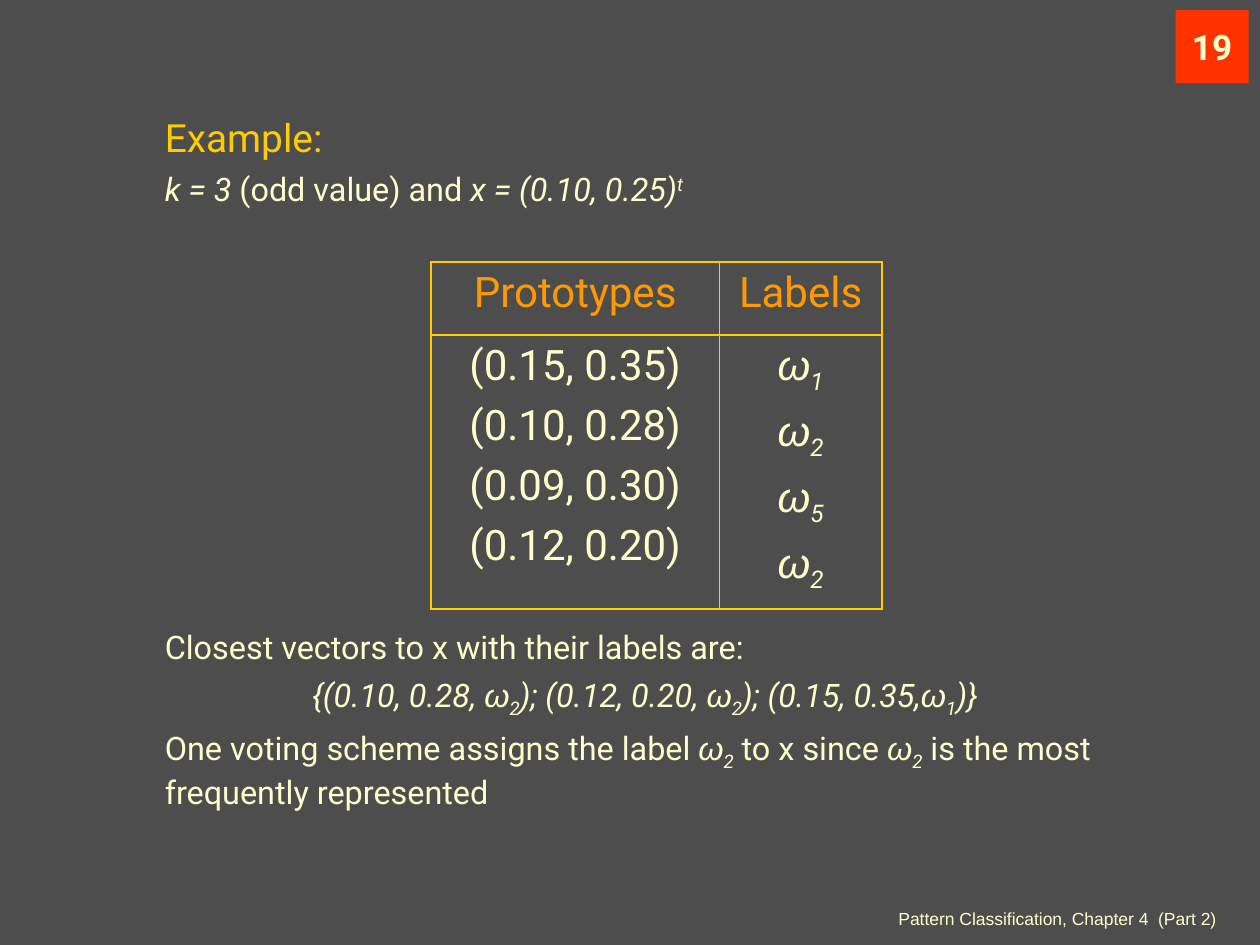
from lxml import etree
from pptx import Presentation
from pptx.dml.color import RGBColor
from pptx.enum.shapes import MSO_SHAPE
from pptx.enum.text import MSO_ANCHOR, PP_ALIGN
from pptx.oxml.ns import qn
from pptx.util import Inches, Pt

LEFT, CENTER, RIGHT = PP_ALIGN.LEFT, PP_ALIGN.CENTER, PP_ALIGN.RIGHT
TOP, MIDDLE, BOTTOM = MSO_ANCHOR.TOP, MSO_ANCHOR.MIDDLE, MSO_ANCHOR.BOTTOM
RECTANGLE = MSO_SHAPE.RECTANGLE

GRAY = RGBColor(0x4D, 0x4D, 0x4D)
CREAM = RGBColor(0xFF, 0xFF, 0xCC)
GOLD = RGBColor(0xFF, 0xCC, 0x00)
ORANGE = RGBColor(0xFF, 0x99, 0x00)
RED = RGBColor(0xFF, 0x33, 0x00)

BODY = {"size": Pt(18.5), "name": "Roboto"}
ITALIC = BODY | {"italic": True}
HEADING = BODY | {"size": Pt(22.2)}
CELL = BODY | {"size": Pt(24)}
FOOTER = {"size": Pt(10), "name": "Arial"}
NUMBER = {"size": Pt(20), "name": "Roboto", "bold": True}

PROTOTYPES = ["(0.15, 0.35)", "(0.10, 0.28)", "(0.09, 0.30)", "(0.12, 0.20)"]
LABELS = ["1", "2", "5", "2"]


def add_run(paragraph, text, style, color=CREAM, baseline=0):
    run = paragraph.add_run()
    run.text = text
    for attribute, value in style.items():
        setattr(run.font, attribute, value)
    run.font.color.rgb = color
    if baseline:
        run.font._element.set("baseline", str(baseline * 1000))


def add_omega(paragraph, index, style):
    italic = style | {"italic": True}
    add_run(paragraph, "ω", italic | {"name": "Arial"})
    add_run(paragraph, index, italic, baseline=-25)


def add_paragraph(frame, align=LEFT, before=5, indent=0):
    paragraph = frame.paragraphs[0]
    if paragraph.runs:
        paragraph = frame.add_paragraph()
    paragraph.alignment = align
    paragraph.space_before = Pt(before)
    if indent:
        properties = paragraph._p.get_or_add_pPr()
        properties.set("marL", str(Inches(indent)))
        properties.set("indent", "0")
    return paragraph


def add_text_frame(slide, left, top, width, height, anchor=TOP):
    box = slide.shapes.add_textbox(Inches(left), Inches(top), Inches(width), Inches(height))
    box.text_frame.word_wrap = True
    box.text_frame.vertical_anchor = anchor
    return box.text_frame


def add_page_number(slide):
    badge = slide.shapes.add_shape(
        RECTANGLE, Inches(9.33), Inches(0.08), Inches(0.58), Inches(0.58))
    badge.shadow.inherit = False
    badge.fill.solid()
    badge.fill.fore_color.rgb = RED
    badge.line.fill.background()
    badge.text_frame.word_wrap = False
    badge.text_frame.vertical_anchor = MIDDLE
    add_run(add_paragraph(badge.text_frame, CENTER, 0), "19", NUMBER)


def add_footer(slide):
    footer = add_text_frame(slide, 4.83, 7.15, 4.92, 0.27, BOTTOM)
    add_run(add_paragraph(footer, RIGHT, 0),
            "Pattern Classification, Chapter 4  (Part 2)", FOOTER)


def add_example(slide):
    example = add_text_frame(slide, 0.83, 0.85, 8.58, 0.85)
    add_run(add_paragraph(example, indent=0.38), "Example:", HEADING, GOLD)
    given = add_paragraph(example, indent=0.38)
    add_run(given, "k = 3", ITALIC)
    add_run(given, " (odd value) and ", BODY)
    add_run(given, "x = (0.10, 0.25)", ITALIC)
    add_run(given, "t", ITALIC, baseline=30)


def add_conclusion(slide):
    conclusion = add_text_frame(slide, 0.83, 4.93, 8.58, 1.6)
    add_run(add_paragraph(conclusion, indent=0.38),
            "Closest vectors to x with their labels are:", BODY)
    neighbours = add_paragraph(conclusion, CENTER)
    for text, index in [("{(0.10, 0.28, ", "2"), ("); (0.12, 0.20, ", "2"),
                        ("); (0.15, 0.35,", "1")]:
        add_run(neighbours, text, ITALIC)
        add_omega(neighbours, index, BODY)
    add_run(neighbours, ")}", ITALIC)
    vote = add_paragraph(conclusion, indent=0.38)
    for text in ["One voting scheme assigns the label ", " to x since "]:
        add_run(vote, text, BODY)
        add_omega(vote, "2", BODY)
    add_run(vote, " is the most frequently represented", BODY)


def format_cell(cell):
    properties = cell._tc.get_or_add_tcPr()
    for side in ("lnL", "lnR", "lnT", "lnB"):
        border = etree.SubElement(properties, qn("a:" + side), w=str(Pt(1.08)))
        fill = etree.SubElement(border, qn("a:solidFill"))
        etree.SubElement(fill, qn("a:srgbClr"), val=str(GOLD))
    cell.fill.background()


def add_prototype_table(slide):
    table = slide.shapes.add_table(
        2, 2, Inches(3.42), Inches(2.08), Inches(3.58), Inches(2.75)).table
    for column, width in zip(table.columns, (2.29, 1.29)):
        column.width = Inches(width)
    for row, height in zip(table.rows, (0.58, 2.17)):
        row.height = Inches(height)
    for cell in table.iter_cells():
        format_cell(cell)
    for column, title in enumerate(("Prototypes", "Labels")):
        heading = add_paragraph(table.cell(0, column).text_frame, CENTER, 6)
        add_run(heading, title, CELL, ORANGE)
    for prototype, label in zip(PROTOTYPES, LABELS):
        add_run(add_paragraph(table.cell(1, 0).text_frame, CENTER, 6), prototype, CELL)
        add_omega(add_paragraph(table.cell(1, 1).text_frame, CENTER, 6), label, CELL)


def main():
    presentation = Presentation()
    presentation.slide_width = Inches(10)
    presentation.slide_height = Inches(7.5)
    slide = presentation.slides.add_slide(presentation.slide_layouts[6])
    slide.background.fill.solid()
    slide.background.fill.fore_color.rgb = GRAY
    add_footer(slide)
    add_page_number(slide)
    add_example(slide)
    add_conclusion(slide)
    add_prototype_table(slide)
    presentation.save("out.pptx")


if __name__ == "__main__":
    main()
